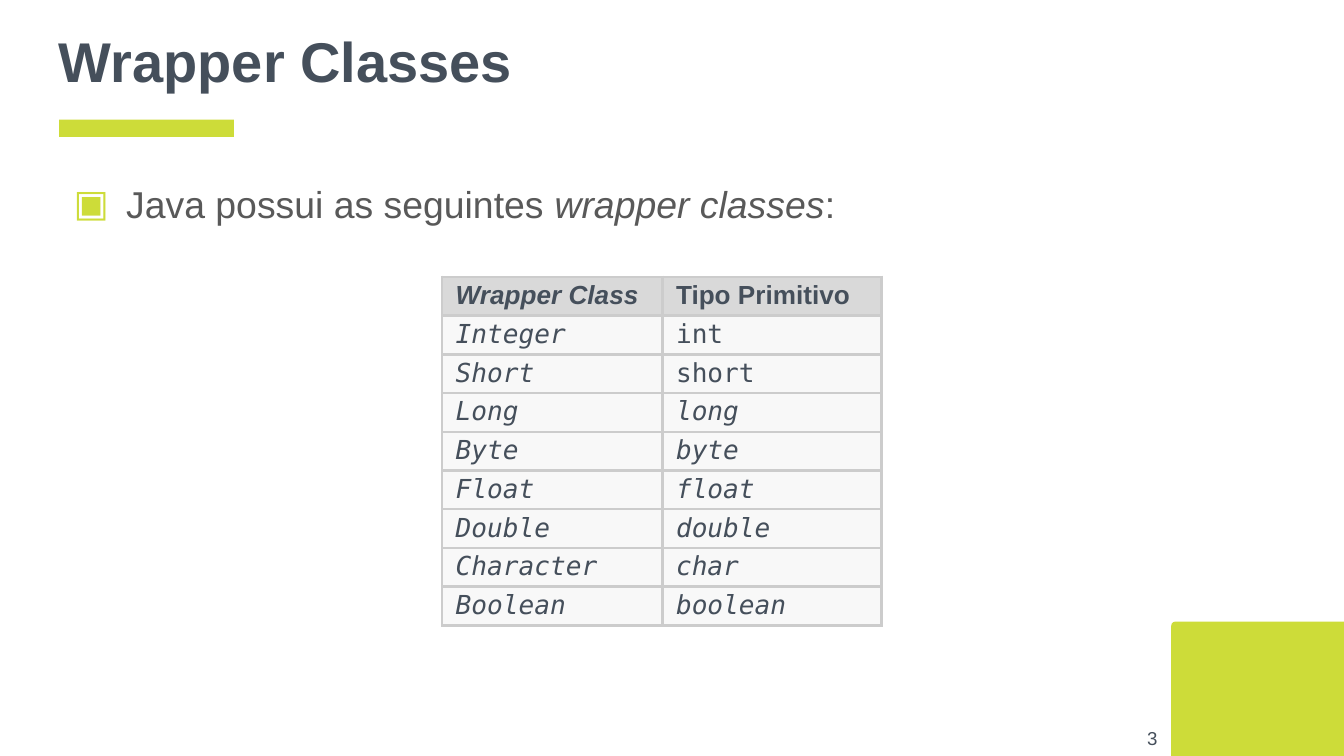
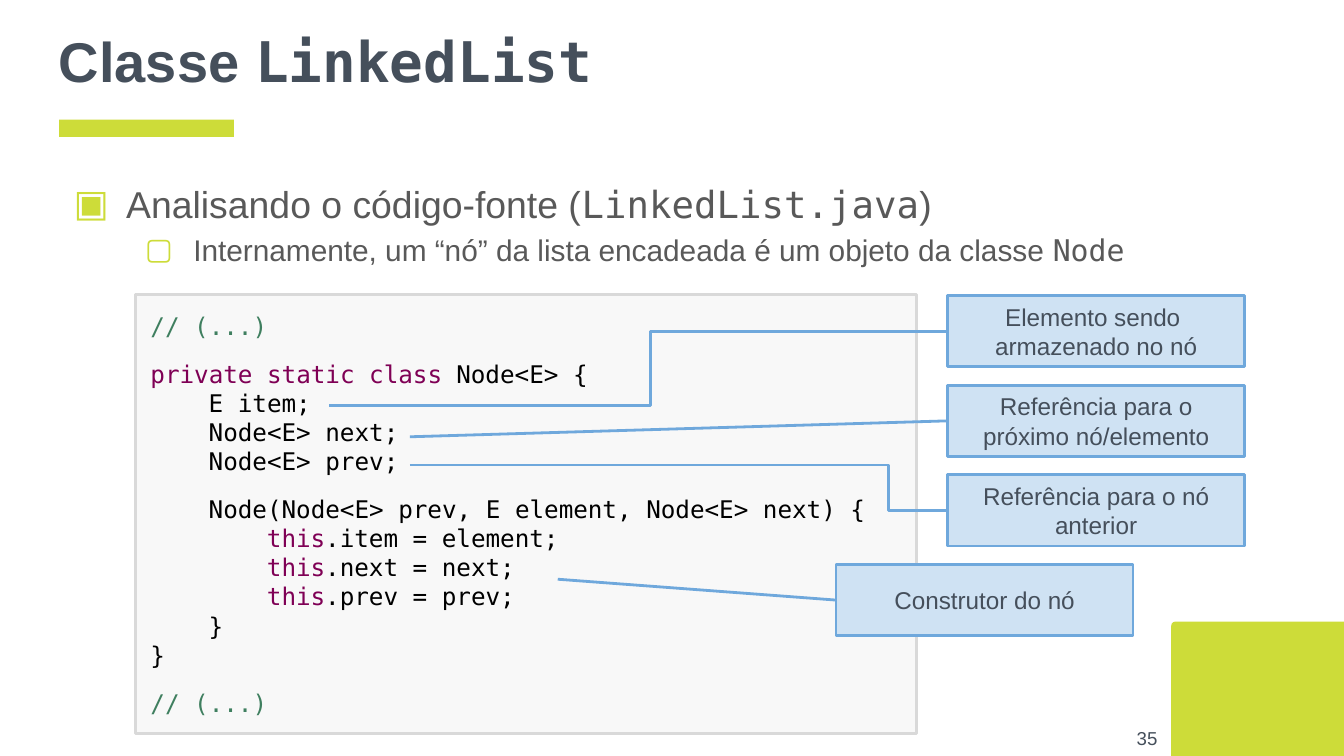
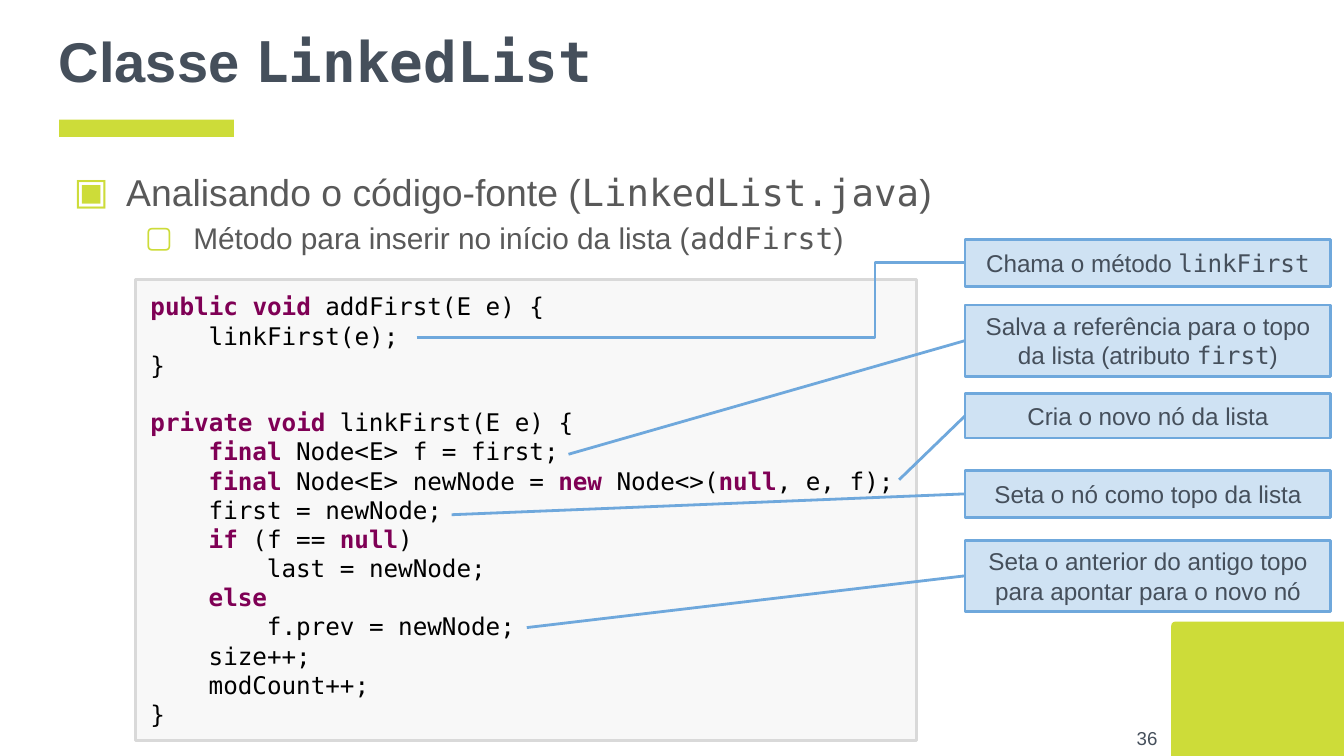
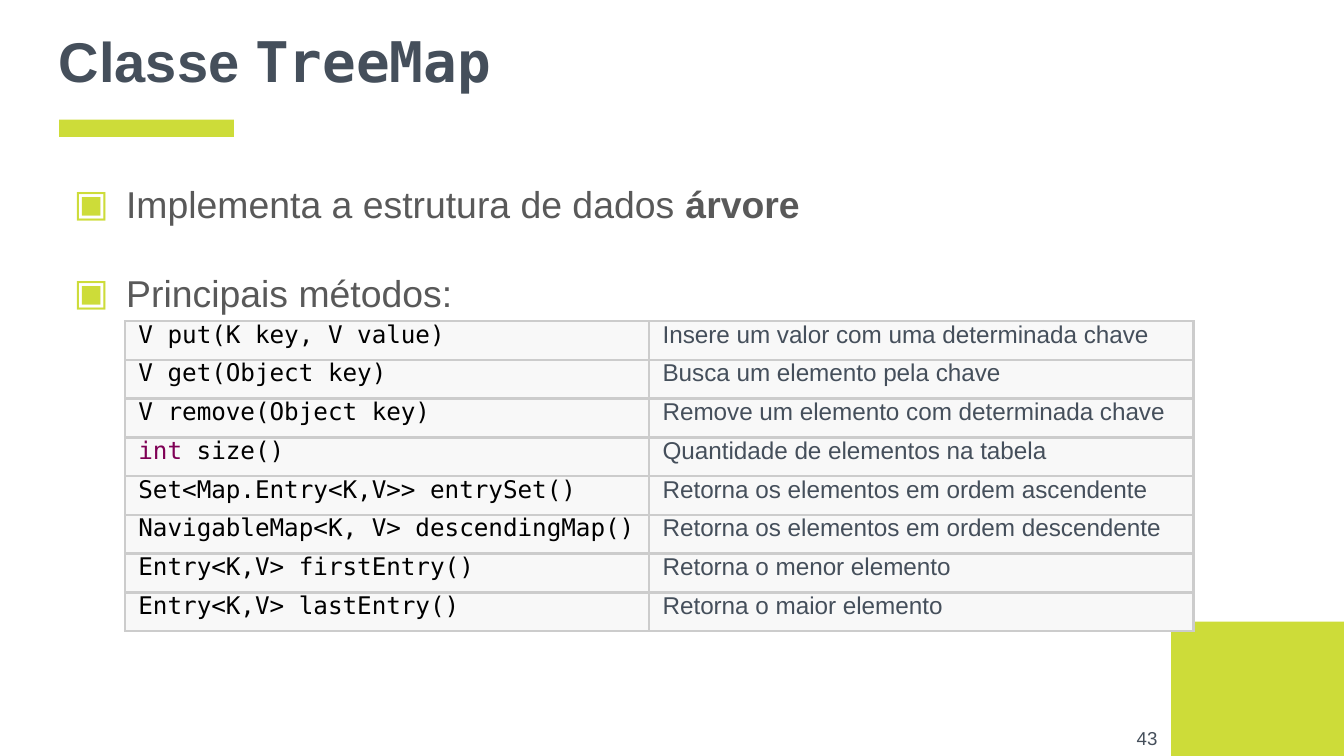
from lxml.etree import SubElement
from pptx import Presentation
from pptx.dml.color import RGBColor
from pptx.enum.shapes import MSO_CONNECTOR as CONN, MSO_SHAPE as SHAPE
from pptx.enum.text import MSO_ANCHOR as ANCHOR, PP_ALIGN as ALIGN
from pptx.oxml.ns import qn
from pptx.util import Inches, Pt

SANS, MONO = "Arial", "DejaVu Sans Mono"
LIME, DARK, GRAY, BLACK = "CDDC39", "454F5B", "595959", "000000"
PANEL, PANEL_LINE, HEADER, GRID = "F8F8F8", "D9D9D9", "D9D9D9", "CCCCCC"
BLUE, PALE_BLUE = "6FA8DC", "CFE2F3"
KEYWORD, COMMENT = "7F0055", "3F7F5F"
CODE_SIZE = 13
CODE_CHAR = 0.6 * CODE_SIZE  # advance of one monospaced character, in points
CODE_LINE = 15.2             # height of one code line, in points
ROW_HEIGHT = Pt(20.75)


def rgb(value):
    return RGBColor.from_string(value)


def write(p, text, alt=None, size=13, font=SANS, color=DARK, bold=False, italic=False):
    """Write text into a paragraph; parts between bars take the alt format."""
    base = dict(size=size, font=font, color=color, bold=bold, italic=italic)
    for i, part in enumerate(text.split("|")):
        fmt = {**base, **(alt or {})} if i % 2 else base
        for j, line in enumerate(part.split("\n")):
            if j:
                p.add_line_break()
            if not line:
                continue
            r = p.add_run()
            r.text = line
            r.font.size, r.font.name = Pt(fmt["size"]), fmt["font"]
            r.font.bold, r.font.italic = fmt["bold"], fmt["italic"]
            r.font.color.rgb = rgb(fmt["color"])


def set_frame(tf, anchor=ANCHOR.MIDDLE, x=0.1, y=0.1):
    tf.word_wrap = True
    tf.vertical_anchor = anchor
    tf.margin_left = tf.margin_right = Inches(x)
    tf.margin_top = tf.margin_bottom = Inches(y)
    return tf


def add_box(s, box, fill, line=None, width=1.5, kind=SHAPE.RECTANGLE):
    sp = s.shapes.add_shape(kind, *map(Inches, box))
    sp.shadow.inherit = False
    sp.fill.solid()
    sp.fill.fore_color.rgb = rgb(fill)
    if line:
        sp.line.color.rgb = rgb(line)
        sp.line.width = Pt(width)
    else:
        sp.line.fill.background()
    return sp


def add_text_box(s, box, anchor=ANCHOR.MIDDLE):
    return set_frame(s.shapes.add_textbox(*map(Inches, box)).text_frame, anchor)


def next_paragraph(tf, i):
    return tf.add_paragraph() if i else tf.paragraphs[0]


# Shared parts: corner, title with its bar, page number
def add_base_slide(prs, title, number):
    s = prs.slides.add_slide(prs.slide_layouts[6])
    corner = add_box(s, (8.86, 4.48, 1.01, 1.3), LIME, kind=SHAPE.ROUND_1_RECTANGLE)
    corner.adjustments[0] = 0.03
    corner.rotation = 270
    add_box(s, (0.44, 0.89, 1.3, 0.13), LIME)
    tf = add_text_box(s, (0.34, 0, 9.32, 0.89))
    write(tf.paragraphs[0], title, {"font": MONO}, size=30, bold=True)
    p = add_text_box(s, (8.11, 5.28, 0.6, 0.43)).paragraphs[0]
    p.alignment = ALIGN.RIGHT
    write(p, str(number), size=10)
    return s


# Bulleted body: items are (level, text, alt format, space before)
def add_bullets(s, items, top=1.2, height=0.89):
    styles = [("▣", 20, 0.5, -0.39), ("▢", 16, 1, -0.36)]
    tf = add_text_box(s, (0.34, top, 9.32, height), ANCHOR.TOP)
    for i, (level, text, alt, before) in enumerate(items):
        char, size, margin, indent = styles[level]
        p = next_paragraph(tf, i)
        p.level = level
        p.line_spacing = 1.15
        p.space_before = Pt(before)
        pPr = p._p.get_or_add_pPr()
        pPr.set("marL", str(Inches(margin)))
        pPr.set("indent", str(Inches(indent)))
        SubElement(SubElement(pPr, qn("a:buClr")), qn("a:srgbClr"), val=LIME)
        SubElement(pPr, qn("a:buFont"), typeface=SANS)
        SubElement(pPr, qn("a:buChar"), char=char)
        write(p, text, alt, size=size, color=GRAY)


# Code panel: lines are (columns of indent, text, space before)
def add_code(s, box, lines, bold=False):
    sp = add_box(s, box, PANEL, PANEL_LINE, 1.44)
    tf = set_frame(sp.text_frame, x=0.11, y=0.06)
    for i, (columns, text, before) in enumerate(lines):
        p = next_paragraph(tf, i)
        p.alignment = ALIGN.LEFT
        p.space_before = Pt(before)
        p._p.get_or_add_pPr().set("marL", str(Pt(columns * CODE_CHAR)))
        color = COMMENT if text.startswith("//") else BLACK
        write(p, text, {"color": KEYWORD, "bold": bold},
              size=CODE_SIZE, font=MONO, color=color)


# Callout, joined at its left middle to a point in the code
def add_callout(s, box, text, start, bend=None):
    left, top, _, height = box
    sp = add_box(s, box, PALE_BLUE, BLUE)
    p = set_frame(sp.text_frame).paragraphs[0]
    p.alignment = ALIGN.CENTER
    write(p, text, {"font": MONO})

    end = (left, top + height / 2)
    kind = CONN.ELBOW if bend else CONN.STRAIGHT
    line = s.shapes.add_connector(kind, *map(Inches, start + end))
    line.line.color.rgb = rgb(BLUE)
    line.line.width = Pt(1.5)
    spPr = line._element.spPr
    SubElement(spPr, qn("a:effectLst"))
    if bend:
        share = (bend - start[0]) / (left - start[0])
        guides = spPr.find(qn("a:prstGeom")).get_or_add_avLst()
        SubElement(guides, qn("a:gd"), name="adj1", fmla=f"val {round(share * 100000)}")


# Table: each cell is (text, fill, format)
def add_grid(s, left, top, widths, rows, spacing, after=0):
    shape = s.shapes.add_table(len(rows), len(widths), Inches(left), Inches(top),
                               Inches(sum(widths)), ROW_HEIGHT * len(rows))
    table = shape.table
    table.first_row = table.horz_banding = False
    for column, width in zip(table.columns, widths):
        column.width = Inches(width)
    for i, row in enumerate(rows):
        table.rows[i].height = ROW_HEIGHT
        for j, (text, fill, fmt) in enumerate(row):
            cell = table.cell(i, j)
            cell.vertical_anchor = ANCHOR.MIDDLE
            cell.margin_left = cell.margin_right = Inches(0.1)
            cell.margin_top, cell.margin_bottom = Inches(0.06), Inches(0.03)
            tcPr = cell._tc.get_or_add_tcPr()
            for side in ("a:lnL", "a:lnR", "a:lnT", "a:lnB"):
                ln = SubElement(tcPr, qn(side), w=str(Pt(1.5)))
                SubElement(SubElement(ln, qn("a:solidFill")), qn("a:srgbClr"), val=GRID)
            cell.fill.solid()
            cell.fill.fore_color.rgb = rgb(fill)
            p = cell.text_frame.paragraphs[0]
            p.line_spacing = spacing
            p.space_after = Pt(after)
            write(p, text, {"color": KEYWORD}, **fmt)


def wrapper_slide(prs):
    s = add_base_slide(prs, "Wrapper Classes", 3)
    add_bullets(s, [(0, "Java possui as seguintes |wrapper classes|:", {"italic": True}, 0)],
                height=0.56)
    pairs = [("Integer", "int"), ("Short", "short"), ("Long", "long"),
             ("Byte", "byte"), ("Float", "float"), ("Double", "double"),
             ("Character", "char"), ("Boolean", "boolean")]
    upright = ("int", "short")
    rows = [[("Wrapper Class", HEADER, dict(size=14, bold=True, italic=True)),
             ("Tipo Primitivo", HEADER, dict(size=14, bold=True))]]
    rows += [[(name, PANEL, dict(size=14, font=MONO, italic=name not in upright))
              for name in pair] for pair in pairs]
    add_grid(s, 3.29, 2.06, (1.64, 1.63), rows, spacing=0.7)


def node_slide(prs):
    s = add_base_slide(prs, "Classe |LinkedList|", 35)
    mono = {"font": MONO}
    add_bullets(s, [
        (0, "Analisando o código-fonte (|LinkedList.java|)", mono, 0),
        (1, "Internamente, um “nó” da lista encadeada é um objeto da classe |Node|", mono, 0),
    ], height=1.35)
    add_code(s, (1.01, 2.19, 5.81, 3.27), [
        (0, "// (...)", 0),
        (0, "|private static class| Node<E> {", 10),
        (4, "E item;", 0),
        (4, "Node<E> next;", 0),
        (4, "Node<E> prev;", 0),
        (4, "Node(Node<E> prev, E element, Node<E> next) {", 10),
        (8, "|this|.item = element;", 0),
        (8, "|this|.next = next;", 0),
        (8, "|this|.prev = prev;", 0),
        (4, "}", 0),
        (0, "}", 0),
        (0, "// (...)", 10),
    ])
    callouts = [
        (7.05, "Elemento sendo \narmazenado no nó", (2.45, 3.02), 4.84),
        (7.05, "Referência para o próximo nó/elemento", (3.05, 3.25), None),
        (7.05, "Referência para o nó anterior", (3.05, 3.46), 6.61),
        (6.22, "Construtor do nó", (4.15, 4.31), None),
    ]
    for i, (left, text, start, bend) in enumerate(callouts):
        add_callout(s, (left, 2.2 + i * 2 / 3, 2.21, 0.53), text, start, bend)


def add_first_slide(prs):
    s = add_base_slide(prs, "Classe |LinkedList|", 36)
    mono = {"font": MONO}
    add_bullets(s, [
        (0, "Analisando o código-fonte (|LinkedList.java|)", mono, 0),
        (1, "Método para inserir no início da lista (|addFirst|)", mono, 0),
    ], top=1.11)
    add_code(s, (1.01, 2.08, 5.81, 3.43), [
        (0, "|public void| addFirst(E e) {", 0),
        (4, "linkFirst(e);", 0),
        (0, "}", 0),
        (0, "|private void| linkFirst(E e) {", CODE_LINE),
        (4, "|final| Node<E> f = first;", 0),
        (4, "|final| Node<E> newNode = |new| Node<>(|null|, e, f);", 0),
        (4, "first = newNode;", 0),
        (4, "|if| (f == |null|)", 0),
        (8, "last = newNode;", 0),
        (4, "|else|", 0),
        (8, "f.prev = newNode;", 0),
        (4, "size++;", 0),
        (4, "modCount++;", 0),
        (0, "}", 0),
    ], bold=True)
    callouts = [
        (1.78, 0.35, "Chama o método |linkFirst|", (3.1, 2.51), 6.51),
        (2.27, 0.53, "Salva a referência para o topo da lista (atributo |first|)",
         (4.23, 3.38), None),
        (2.93, 0.33, "Cria o novo nó da lista", (6.69, 3.57), None),
        (3.5, 0.35, "Seta o nó como topo da lista", (3.36, 3.83), None),
        (4.02, 0.53, "Seta o anterior do antigo topo para apontar para o novo nó",
         (3.92, 4.67), None),
    ]
    for top, height, text, start, bend in callouts:
        add_callout(s, (7.18, top, 2.72, height), text, start, bend)


def tree_map_slide(prs):
    s = add_base_slide(prs, "Classe |TreeMap|", 43)
    add_bullets(s, [
        (0, "Implementa a estrutura de dados |árvore|", {"bold": True}, 0),
        (0, "Principais métodos:", None, 20),
    ], height=1.25)
    methods = [
        ("V put(K key, V value)", "Insere um valor com uma determinada chave"),
        ("V get(Object key)", "Busca um elemento pela chave"),
        ("V remove(Object key)", "Remove um elemento com determinada chave"),
        ("|int| size()", "Quantidade de elementos na tabela"),
        ("Set<Map.Entry<K,V>> entrySet()", "Retorna os elementos em ordem ascendente"),
        ("NavigableMap<K, V> descendingMap()", "Retorna os elementos em ordem descendente"),
        ("Entry<K,V> firstEntry()", "Retorna o menor elemento"),
        ("Entry<K,V> lastEntry()", "Retorna o maior elemento"),
    ]
    rows = [[(code, PANEL, dict(font=MONO, color=BLACK)), (use, PANEL, {})]
            for code, use in methods]
    add_grid(s, 0.93, 2.39, (3.9, 4.05), rows, spacing=0.07, after=2)


def main():
    prs = Presentation()
    prs.slide_width = Inches(10)
    prs.slide_height = Inches(10 * 9 / 16)
    for build in (wrapper_slide, node_slide, add_first_slide, tree_map_slide):
        build(prs)
    prs.save("out.pptx")


if __name__ == "__main__":
    main()
